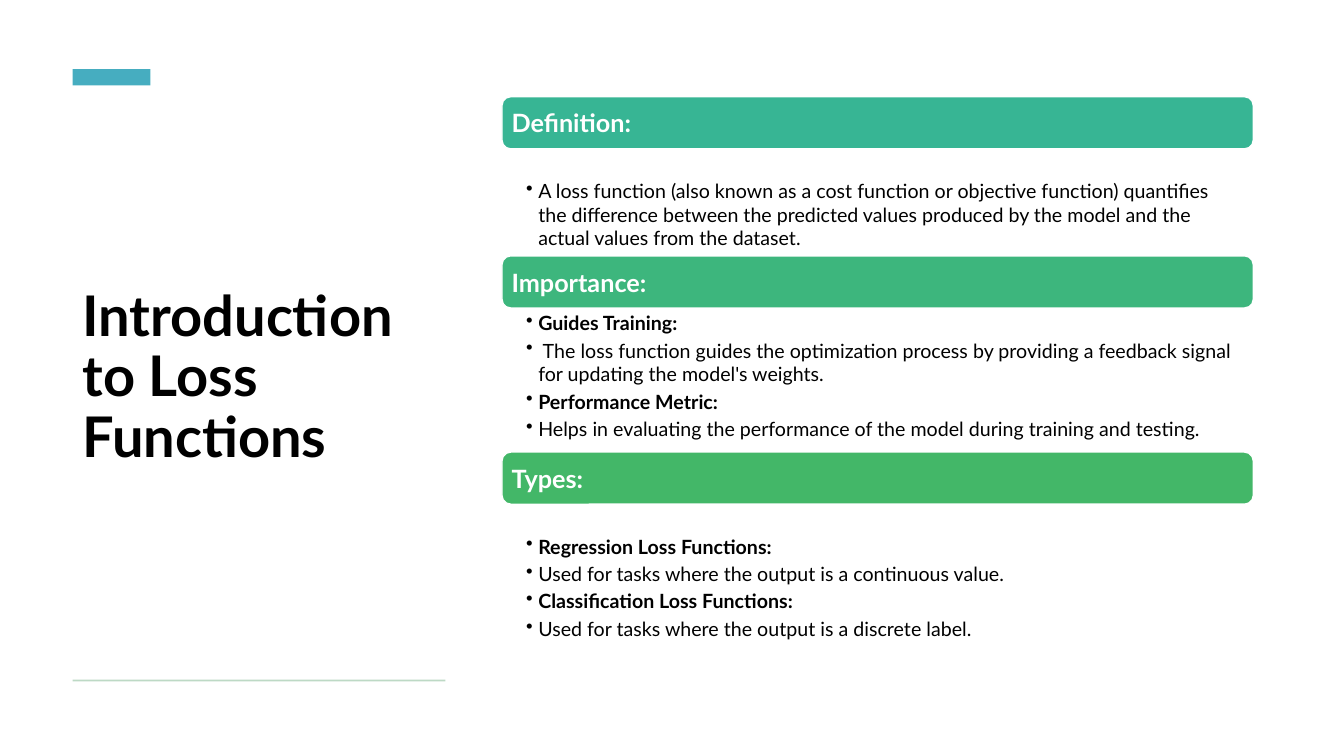
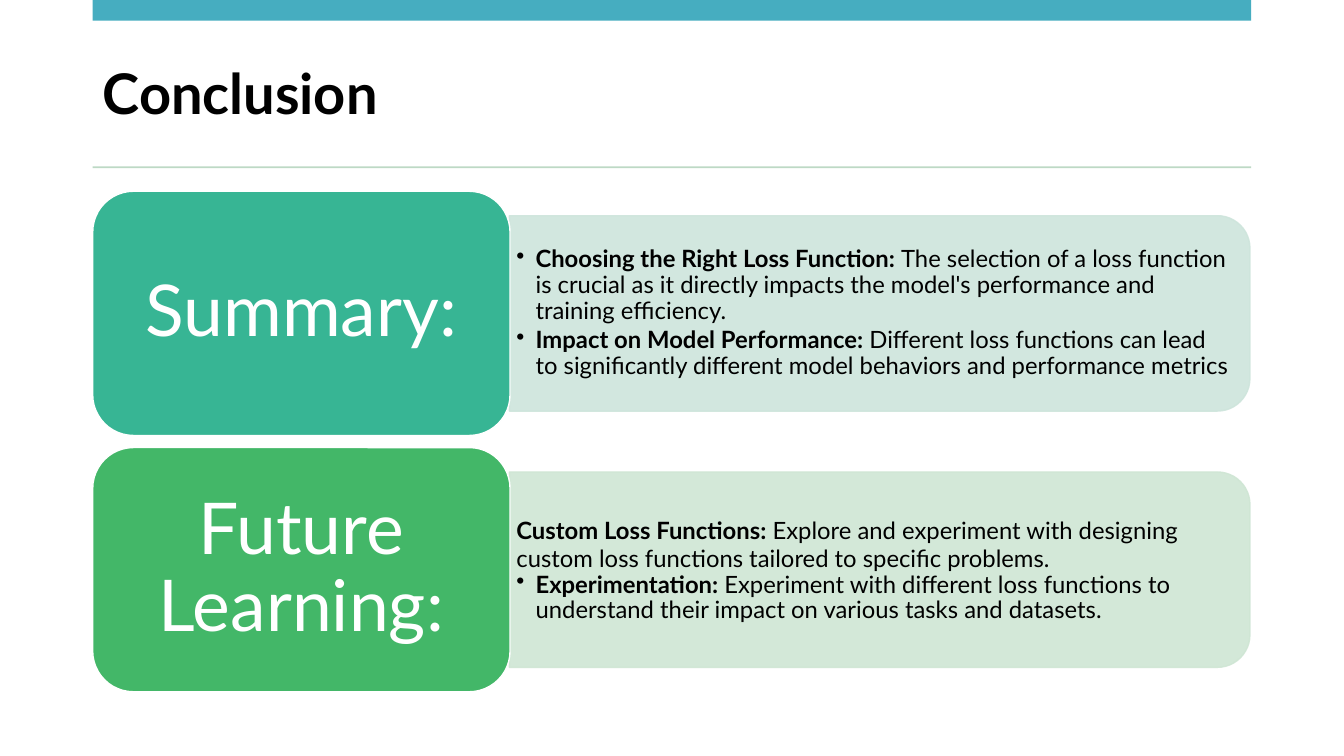
"""Build two slides on loss functions: an introduction and a conclusion."""
from dataclasses import dataclass

from lxml import etree
from pptx import Presentation
from pptx import util as u
from pptx.dml.color import RGBColor
from pptx.enum import shapes, text
from pptx.oxml.ns import qn


@dataclass(frozen=True)
class Theme:
    """Colours, font and type sizes of the deck."""
    font: str = "Lato"
    ink: str = "000000"
    paper: str = "FFFFFF"
    accent: str = "46ADC0"
    rule: str = "BDD9C5"
    teal: str = "37B594"
    mid_green: str = "3DB67D"
    green: str = "43B768"
    pale_teal: str = "CEE5DC"
    pale_green: str = "CFE6D4"
    panel_opacity: int = 90
    title: float = 40
    heading: float = 18
    body: float = 14
    card: float = 51
    panel: float = 17


@dataclass(frozen=True)
class Area:
    """A rectangle in percent of the slide's width and height."""
    left: float
    top: float
    width: float
    height: float

    def emu(self) -> tuple[int, int, int, int]:
        """Return left, top, width and height in EMU."""
        across, down = SLIDE_WIDTH / 100, SLIDE_HEIGHT / 100
        return (round(self.left * across), round(self.top * down),
                round(self.width * across), round(self.height * down))


@dataclass(frozen=True)
class Line:
    """A paragraph with a bold lead and a regular rest."""
    lead: str = ""
    rest: str = ""
    bulleted: bool = True


@dataclass(frozen=True)
class Style:
    """How the paragraphs of a text frame are set."""
    size: float
    color: str
    insets: tuple[float, float, float, float] = (0.1, 0.05, 0.1, 0.05)
    spacing: float = 1.0
    after: float = 0
    hanging: float = 0
    anchor: text.MSO_ANCHOR = text.MSO_ANCHOR.MIDDLE
    align: text.PP_ALIGN = text.PP_ALIGN.LEFT


@dataclass(frozen=True)
class Section:
    """A heading bar with the lines below it."""
    heading: str
    color: str
    body_height: float
    lines: tuple[Line, ...]
    inset_top: float = 0.03


@dataclass(frozen=True)
class Topic:
    """A card with a panel of lines at its right."""
    name: str
    color: str
    panel_color: str
    lines: tuple[Line, ...]


SLIDE_WIDTH, SLIDE_HEIGHT = u.Inches(13.33), u.Inches(7.5)
THEME = Theme()
TITLE = Style(THEME.title, THEME.ink, spacing=0.9)
HEADING = Style(THEME.heading, THEME.paper, (0.07,) * 4)
CARD = Style(THEME.card, THEME.paper, (0.21, 0.11, 0.21, 0.11), 0.9,
             align=text.PP_ALIGN.CENTER)
PANEL = Style(THEME.panel, THEME.ink, (0.07, 0.04, 0.07, 0.04), 0.9, 0.15, 0.19)
SKIPPED_LINE = 0.3

SECTIONS = (
    Section("Definition:", THEME.teal, 14.15, (
        Line(rest="A loss function (also known as a cost function or objective function) "
                  "quantifies the difference between the predicted values produced by the "
                  "model and the actual values from the dataset."),
    ), SKIPPED_LINE),
    Section("Importance:", THEME.mid_green, 19.05, (
        Line("Guides Training:"),
        Line(rest=" The loss function guides the optimization process by providing a "
                  "feedback signal for updating the model's weights."),
        Line("Performance Metric:"),
        Line(rest="Helps in evaluating the performance of the model during training "
                  "and testing."),
    )),
    Section("Types:", THEME.green, 19.6, (
        Line("Regression Loss Functions:"),
        Line(rest="Used for tasks where the output is a continuous value."),
        Line("Classification Loss Functions:"),
        Line(rest="Used for tasks where the output is a discrete label."),
    ), SKIPPED_LINE),
)

TOPICS = (
    Topic("Summary:", THEME.teal, THEME.pale_teal, (
        Line("Choosing the Right Loss Function: ",
             "The selection of a loss function is crucial as it directly impacts the "
             "model's performance and training efficiency."),
        Line("Impact on Model Performance: ",
             "Different loss functions can lead to significantly different model "
             "behaviors and performance metrics"),
    )),
    Topic("Future Learning:", THEME.green, THEME.pale_green, (
        Line("Custom Loss Functions: ",
             "Explore and experiment with designing custom loss functions tailored to "
             "specific problems.", bulleted=False),
        Line("Experimentation: ",
             "Experiment with different loss functions to understand their impact on "
             "various tasks and datasets."),
    )),
)


def add_bullet(para, hanging: float) -> None:
    """Give a paragraph a bullet with a hanging indent."""
    properties = para._p.get_or_add_pPr()
    properties.set("marL", str(u.Inches(hanging)))
    properties.set("indent", str(-u.Inches(hanging)))
    etree.SubElement(properties, qn("a:buChar")).set("char", "•")


def write(shape, lines: tuple[Line, ...], style: Style) -> None:
    """Fill a shape's text frame with lines in one style."""
    frame = shape.text_frame
    frame.word_wrap = True
    frame.vertical_anchor = style.anchor
    (frame.margin_left, frame.margin_top,
     frame.margin_right, frame.margin_bottom) = map(u.Inches, style.insets)
    for index, line in enumerate(lines):
        para = frame.add_paragraph() if index else frame.paragraphs[0]
        para.alignment = style.align
        plain = style.hanging and not line.bulleted
        para.line_spacing = 1.0 if plain else style.spacing
        para.space_after = u.Pt(0 if plain else style.after * style.size)
        if style.hanging and line.bulleted:
            add_bullet(para, style.hanging)
        for words, bold in ((line.lead, True), (line.rest, False)):
            if words:
                span = para.add_run()
                span.text = words
                span.font.name = THEME.font
                span.font.size = u.Pt(style.size)
                span.font.bold = bold
                span.font.color.rgb = RGBColor.from_string(style.color)


def add_text(page, area: Area, lines: tuple[Line, ...], style: Style) -> None:
    """Add a text box."""
    write(page.shapes.add_textbox(*area.emu()), lines, style)


def add_block(page, area: Area, color: str, outline: str = "",
              kind: shapes.MSO_SHAPE = shapes.MSO_SHAPE.RECTANGLE):
    """Add a filled shape, outlined only when an outline colour is given."""
    block = page.shapes.add_shape(kind, *area.emu())
    block.shadow.inherit = False
    block.fill.solid()
    block.fill.fore_color.rgb = RGBColor.from_string(color)
    if outline:
        block.line.color.rgb = RGBColor.from_string(outline)
        block.line.width = u.Pt(1)
    else:
        block.line.fill.background()
    return block


def add_panel(page, area: Area, color: str) -> None:
    """Add a translucent panel rounded at its right end."""
    panel = add_block(page, area, color, color, shapes.MSO_SHAPE.ROUND_2_SAME_RECTANGLE)
    left, top, width, height = area.emu()
    shift = (width - height) // 2
    panel.left, panel.top = left + shift, top - shift
    panel.width, panel.height = height, width
    panel.rotation = 90
    for tint in panel._element.spPr.iter(qn("a:srgbClr")):
        etree.SubElement(tint, qn("a:alpha")).set("val", str(THEME.panel_opacity * 1000))


def add_frame(page, title: str, title_area: Area, accent: Area, rule: Area) -> None:
    """Add what both slides share: title, accent bar and rule."""
    add_text(page, title_area, (Line(title),), TITLE)
    add_block(page, accent, THEME.accent)
    add_block(page, rule, THEME.rule)


def add_section(page, section: Section, top: float) -> float:
    """Add a section and return where the next one starts."""
    left, width, bar_height = 37.35, 55.9, 6.9
    bar = add_block(page, Area(left, top, width, bar_height), section.color,
                    THEME.paper, shapes.MSO_SHAPE.ROUNDED_RECTANGLE)
    write(bar, (Line(section.heading),), HEADING)
    style = Style(THEME.body, THEME.ink, (0.24, section.inset_top, 0.14, 0.03),
                  after=0.2, hanging=0.12, anchor=text.MSO_ANCHOR.TOP)
    body_top = top + bar_height
    add_text(page, Area(left, body_top, width, section.body_height), section.lines, style)
    return body_top + section.body_height


def add_topic(page, topic: Topic, row: int) -> None:
    """Add a card and its panel in the given row."""
    height, pitch, panel_share = 32.3, 33.9, 0.8
    top = 25.3 + row * pitch
    panel_height = height * panel_share
    panel_top = top + (height - panel_height) / 2
    add_panel(page, Area(37.9, panel_top, 55.1, panel_height), topic.panel_color)
    add_text(page, Area(37.9, panel_top, 54.45, panel_height), topic.lines, PANEL)
    card = add_block(page, Area(6.9, top, 31.05, height), topic.color,
                     THEME.paper, shapes.MSO_SHAPE.ROUNDED_RECTANGLE)
    write(card, (Line(rest=topic.name),), CARD)


def build_introduction(page) -> None:
    """Draw the introduction slide."""
    add_frame(page, "Introduction to Loss Functions", Area(5.4, 14, 27.75, 72.1),
              Area(5.4, 9.15, 5.8, 2.15), Area(5.4, 89.9, 27.75, 0.25))
    top = 12.8
    for section in SECTIONS:
        top = add_section(page, section, top)


def build_conclusion(page) -> None:
    """Draw the conclusion slide."""
    add_frame(page, "Conclusion", Area(6.9, 4.9, 86.2, 15.75),
              Area(6.9, 0, 86.2, 2.75), Area(6.9, 22, 86.2, 0.25))
    for row, topic in enumerate(TOPICS):
        add_topic(page, topic, row)


def main() -> None:
    """Build and save the deck."""
    deck = Presentation()
    deck.slide_width, deck.slide_height = SLIDE_WIDTH, SLIDE_HEIGHT
    blank = deck.slide_layouts[6]
    for build in (build_introduction, build_conclusion):
        build(deck.slides.add_slide(blank))
    deck.save("out.pptx")


if __name__ == "__main__":
    main()
